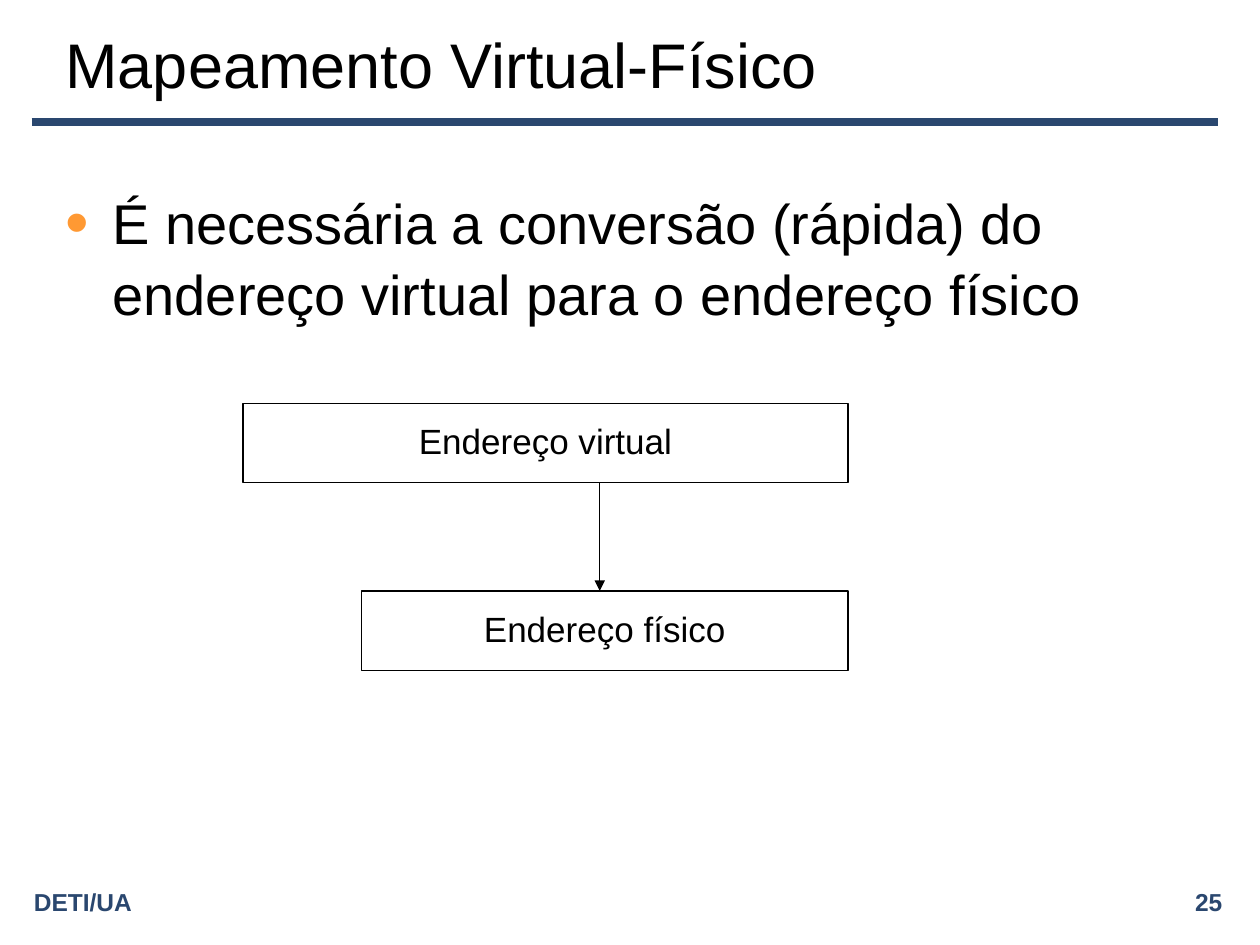
from dataclasses import dataclass

import pptx
import pptx.dml.color
import pptx.enum.shapes
import pptx.enum.text
import pptx.oxml
import pptx.oxml.ns
import pptx.presentation
import pptx.util

Pt = pptx.util.Pt
ALIGN = pptx.enum.text.PP_ALIGN
ANCHOR = pptx.enum.text.MSO_ANCHOR
COLORS = {"text": "000000", "accent": "2A476F", "bullet": "FF9933"}
FONT = "Arial"


@dataclass
class Label:
    text: str
    left: float
    top: float
    width: float
    height: float
    size: float
    align: ALIGN = ALIGN.LEFT
    anchor: ANCHOR = ANCHOR.MIDDLE
    color: str = "text"
    bold: bool = False

    @property
    def frame(self) -> tuple:
        return tuple(Pt(v) for v in (self.left, self.top, self.width, self.height))


def rgb(name: str) -> pptx.dml.color.RGBColor:
    return pptx.dml.color.RGBColor.from_string(COLORS[name])


def set_all(target, values: dict) -> None:
    for attribute, value in values.items():
        setattr(target, attribute, value)


def write(shape, label: Label, wrap: bool = True):
    """Write the label into the shape and return its paragraph."""
    set_all(shape.text_frame, {"word_wrap": wrap, "vertical_anchor": label.anchor,
                               "auto_size": pptx.enum.text.MSO_AUTO_SIZE.NONE})
    paragraph = shape.text_frame.paragraphs[0]
    paragraph.alignment = label.align
    run = paragraph.add_run()
    run.text = label.text
    set_all(run.font, {"name": FONT, "size": Pt(label.size), "bold": label.bold})
    run.font.color.rgb = rgb(label.color)
    return paragraph


def add_text(slide, label: Label):
    return write(slide.shapes.add_textbox(*label.frame), label)


def add_address_box(slide, label: Label) -> None:
    box = slide.shapes.add_shape(pptx.enum.shapes.MSO_SHAPE.RECTANGLE, *label.frame)
    box.shadow.inherit = False
    box.fill.background()
    box.line.color.rgb = rgb("text")
    box.line.width = Pt(0.75)
    write(box, label, wrap=False)
    set_all(box.text_frame, {"margin_left": Pt(7.2), "margin_right": Pt(7.2),
                             "margin_top": Pt(3.6), "margin_bottom": Pt(6.5)})


def add_line(slide, start: tuple, end: tuple, color: str, width: float,
             arrow: bool = False) -> None:
    line = slide.shapes.add_connector(pptx.enum.shapes.MSO_CONNECTOR.STRAIGHT,
                                      *(Pt(v) for v in start + end))
    line.line.color.rgb = rgb(color)
    line.line.width = Pt(width)
    if arrow:
        tail = pptx.oxml.ns.qn("a:tailEnd")
        line.line._get_or_add_ln().makeelement(tail)
        head = line.line._get_or_add_ln()
        head.append(head.makeelement(tail, {"type": "triangle"}))
    properties = line._element.spPr
    properties.append(properties.makeelement(pptx.oxml.ns.qn("a:effectLst")))


def add_bullet(paragraph, indent: float) -> None:
    properties = paragraph._p.get_or_add_pPr()
    set_all_xml = {"marL": str(Pt(indent)), "indent": str(-Pt(indent))}
    for name, value in set_all_xml.items():
        properties.set(name, value)
    namespace = pptx.oxml.ns.nsdecls("a")
    for xml in (
        f'<a:buClr {namespace}><a:srgbClr val="{COLORS["bullet"]}"/></a:buClr>',
        f'<a:buSzPct {namespace} val="120000"/>',
        f'<a:buFont {namespace} typeface="{FONT}"/>',
        f'<a:buChar {namespace} char="•"/>',
    ):
        properties.append(pptx.oxml.parse_xml(xml))


def build(deck: pptx.presentation.Presentation) -> None:
    set_all(deck, {"slide_width": Pt(720), "slide_height": Pt(540)})
    slide = deck.slides.add_slide(deck.slide_layouts[5])

    # Title and rule
    heading = Label("Mapeamento Virtual-Físico", 30.24, 12.24, 630, 48.24, 36)
    title = slide.shapes.title
    set_all(title, dict(zip(("left", "top", "width", "height"), heading.frame)))
    write(title, heading)
    add_line(slide, (18, 69.84), (696.24, 69.84), "accent", 4.5)

    # Footer
    footer = {"top": 504, "width": 279.36, "height": 22.32, "size": 14,
              "color": "accent", "bold": True}
    add_text(slide, Label("DETI/UA", left=12.24, **footer))
    add_text(slide, Label("25", left=426.24, align=ALIGN.RIGHT, **footer))

    # Statement
    statement = add_text(slide, Label(
        "É necessária a conversão (rápida) do endereço virtual para o endereço físico",
        30.24, 102.24, 648, 356.4, 32, anchor=ANCHOR.TOP))
    statement.line_spacing = 1.05
    add_bullet(statement, 27)

    # Address boxes share their right edge; the arrow maps one to the other
    right, height, arrow_x = 484.56, 45.36, 342.72
    virtual_top, physical_top = 230.4, 337.68
    for text, top, width in (("Endereço virtual", virtual_top, 345.6),
                             ("Endereço físico", physical_top, 277.92)):
        add_address_box(slide, Label(text, right - width, top, width, height, 20,
                                     align=ALIGN.CENTER))
    add_line(slide, (arrow_x, virtual_top + height), (arrow_x, physical_top),
             "text", 0.75, arrow=True)


def main() -> None:
    deck = pptx.Presentation()
    build(deck)
    deck.save("out.pptx")


if __name__ == "__main__":
    main()
